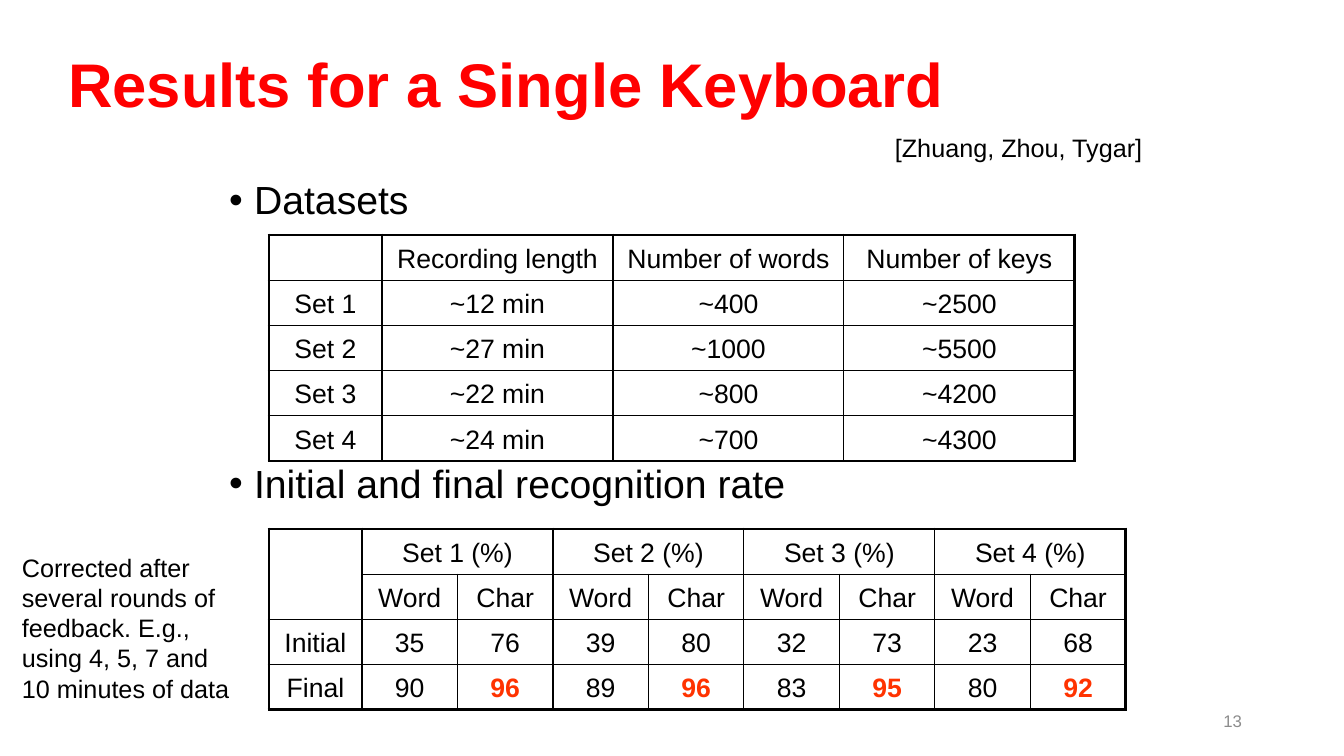
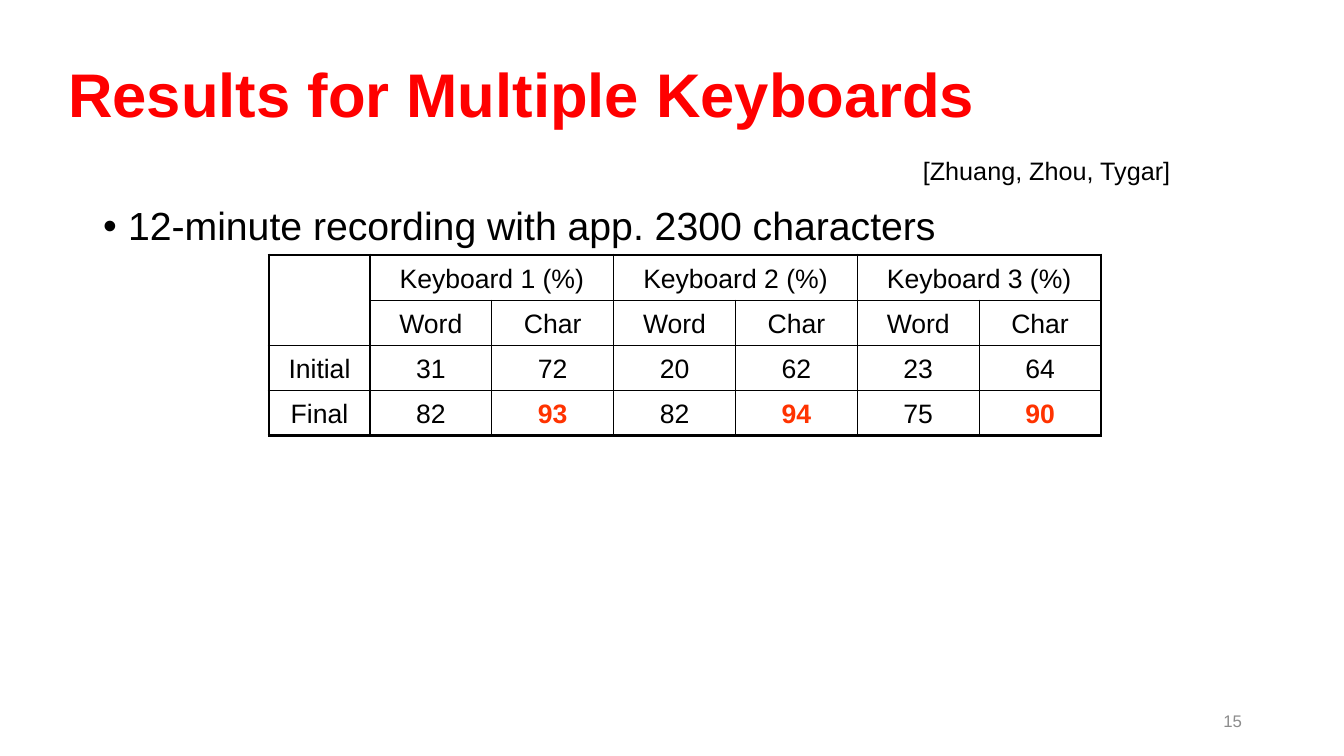
from lxml.etree import SubElement
from pptx import Presentation
from pptx.dml.color import RGBColor
from pptx.enum.text import MSO_ANCHOR as Anchor, MSO_AUTO_SIZE as AutoSize, PP_ALIGN as Align
from pptx.oxml.ns import qn
from pptx.util import Emu, Pt

# Shared look
EMU_PER_INCH, PX_PER_INCH = 914400, 100.8
FONT = "Arial"
BLACK, WHITE, RED, ORANGE, GRAY = "000000", "FFFFFF", "FF0000", "FF3300", "8C8C8C"
THIN, THICK = 1, 2.25
TABLE_LEFT = 269
CITATION = "[Zhuang, Zhou, Tygar]"


def px(length):
    return Emu(round(length * EMU_PER_INCH / PX_PER_INCH))


def color(hex_value):
    return RGBColor.from_string(hex_value)


def place(shape, box):
    shape.left, shape.top, shape.width, shape.height = map(px, box)


def add_span(para, text, size, hex_value=BLACK, bold=False):
    span = para.add_run()
    span.text = text
    span.font.name = FONT
    span.font.size = Pt(size)
    span.font.bold = bold
    span.font.color.rgb = color(hex_value)


def add_title(page, box, text):
    title = page.shapes.title
    place(title, box)
    frame = title.text_frame
    frame.auto_size = AutoSize.NONE
    frame.vertical_anchor = Anchor.MIDDLE
    para = frame.paragraphs[0]
    para.alignment = Align.LEFT
    para.line_spacing = 0.9
    add_span(para, text, 44, RED, bold=True)


def add_bullets(page, box, items, gap=0):
    """Fill the body placeholder; gap is the space in points between items."""
    body = page.placeholders[1]
    place(body, box)
    frame = body.text_frame
    frame.auto_size = AutoSize.NONE
    for index, item in enumerate(items):
        para = frame.add_paragraph() if index else frame.paragraphs[0]
        properties = para._p.get_or_add_pPr()
        properties.set("marL", str(px(25)))
        properties.set("indent", str(-px(25)))
        SubElement(properties, qn("a:buFont"), typeface=FONT)
        SubElement(properties, qn("a:buChar"), char="•")
        para.line_spacing = 0.9
        para.space_before = Pt(gap if index else 0)
        add_span(para, item, 28)


def add_label(page, box, text, size=18, hex_value=BLACK, align=Align.LEFT,
              anchor=Anchor.TOP, fill=None):
    label = page.shapes.add_textbox(*map(px, box))
    if fill:
        label.fill.solid()
        label.fill.fore_color.rgb = color(fill)
    frame = label.text_frame
    frame.word_wrap = True
    frame.vertical_anchor = anchor
    para = frame.paragraphs[0]
    para.alignment = align
    add_span(para, text, size, hex_value)


def set_borders(cell, widths):
    """Draw the left, right, top and bottom borders, in that order."""
    properties = cell._tc.get_or_add_tcPr()
    for side, width in zip("LRTB", widths):
        line = SubElement(properties, qn(f"a:ln{side}"), w=str(Pt(width)))
        fill = SubElement(line, qn("a:solidFill"))
        SubElement(fill, qn("a:srgbClr"), val=BLACK)


def add_grid(page, box, first_width, rows, merges=(), highlights=()):
    """Add a table with thin inner and thick outer lines."""
    row_count, column_count = len(rows), len(rows[0])
    table = page.shapes.add_table(row_count, column_count, *map(px, box)).table
    table.first_row = table.horz_banding = False
    other_width = (box[2] - first_width) / (column_count - 1)
    for index, column in enumerate(table.columns):
        column.width = px(other_width if index else first_width)
    for row in table.rows:
        row.height = px(box[3] / row_count)
    for top, left, bottom, right in merges:
        table.cell(top, left).merge(table.cell(bottom, right))

    for r, values in enumerate(rows):
        for c, value in enumerate(values):
            cell = table.cell(r, c)
            last_row, last_column = r, c
            if cell.is_merge_origin:
                last_row += cell.span_height - 1
                last_column += cell.span_width - 1
            outer = (c == 0, last_column == column_count - 1,
                     r == 0, last_row == row_count - 1)
            set_borders(cell, [THICK if edge else THIN for edge in outer])
            cell.fill.background()
            cell.vertical_anchor = Anchor.MIDDLE
            if value:
                para = cell.text_frame.paragraphs[0]
                para.alignment = Align.CENTER
                para.line_spacing = 1.1
                strong = (r, c) in highlights
                add_span(para, value, 19, ORANGE if strong else BLACK, strong)


def add_rate_grid(page, box, first_width, groups, initial, final):
    """Add a table with a word and a char rate for each group."""
    rows = [
        [""] + [text for group in groups for text in (f"{group} (%)", "")],
        [""] + ["Word", "Char"] * len(groups),
        ["Initial"] + initial.split(),
        ["Final"] + final.split(),
    ]
    starts = range(1, len(rows[0]), 2)
    merges = [(0, 0, 1, 0)] + [(0, c, 0, c + 1) for c in starts]
    highlights = [(3, c + 1) for c in starts]
    add_grid(page, box, first_width, rows, merges, highlights)


def add_page(deck, title, title_top, citation_at, number):
    page = deck.slides.add_slide(deck.slide_layouts[1])
    add_title(page, (58, title_top, 1159, 146), title)
    add_label(page, (*citation_at, 274, 40), CITATION, fill=WHITE)
    add_label(page, (950, 701, 302, 40), number, 12, GRAY, Align.RIGHT, Anchor.MIDDLE)
    return page


def build_single_keyboard(deck):
    page = add_page(deck, "Results for a Single Keyboard", 15, (885, 127), "13")
    add_bullets(page, (219, 176, 739, 356),
                ["Datasets", "Initial and final recognition rate"], gap=172)
    # Recordings
    add_grid(page, (TABLE_LEFT, 235, 806, 217), 113, [
        ["", "Recording length", "Number of words", "Number of keys"],
        ["Set 1", "~12 min", "~400", "~2500"],
        ["Set 2", "~27 min", "~1000", "~5500"],
        ["Set 3", "~22 min", "~800", "~4200"],
        ["Set 4", "~24 min", "~700", "~4300"],
    ])
    # Recognition rates and side remark
    add_rate_grid(page, (TABLE_LEFT, 529, 857, 173), 93,
                  ["Set 1", "Set 2", "Set 3", "Set 4"],
                  "35 76 39 80 32 73 23 68", "90 96 89 96 83 95 80 92")
    add_label(page, (12, 547, 231, 163),
              "Corrected after several rounds of feedback. E.g., "
              "using 4, 5, 7 and 10 minutes of data")


def build_multiple_keyboards(deck):
    page = add_page(deck, "Results for Multiple Keyboards", 25, (913, 150), "15")
    add_bullets(page, (93, 202, 1159, 480),
                ["12-minute recording with app. 2300 characters"])
    add_rate_grid(page, (TABLE_LEFT, 255, 832, 173), 101,
                  ["Keyboard 1", "Keyboard 2", "Keyboard 3"],
                  "31 72 20 62 23 64", "82 93 82 94 75 90")


def main():
    deck = Presentation()
    deck.slide_width, deck.slide_height = px(1344), px(756)
    build_single_keyboard(deck)
    build_multiple_keyboards(deck)
    deck.save("out.pptx")


if __name__ == "__main__":
    main()
